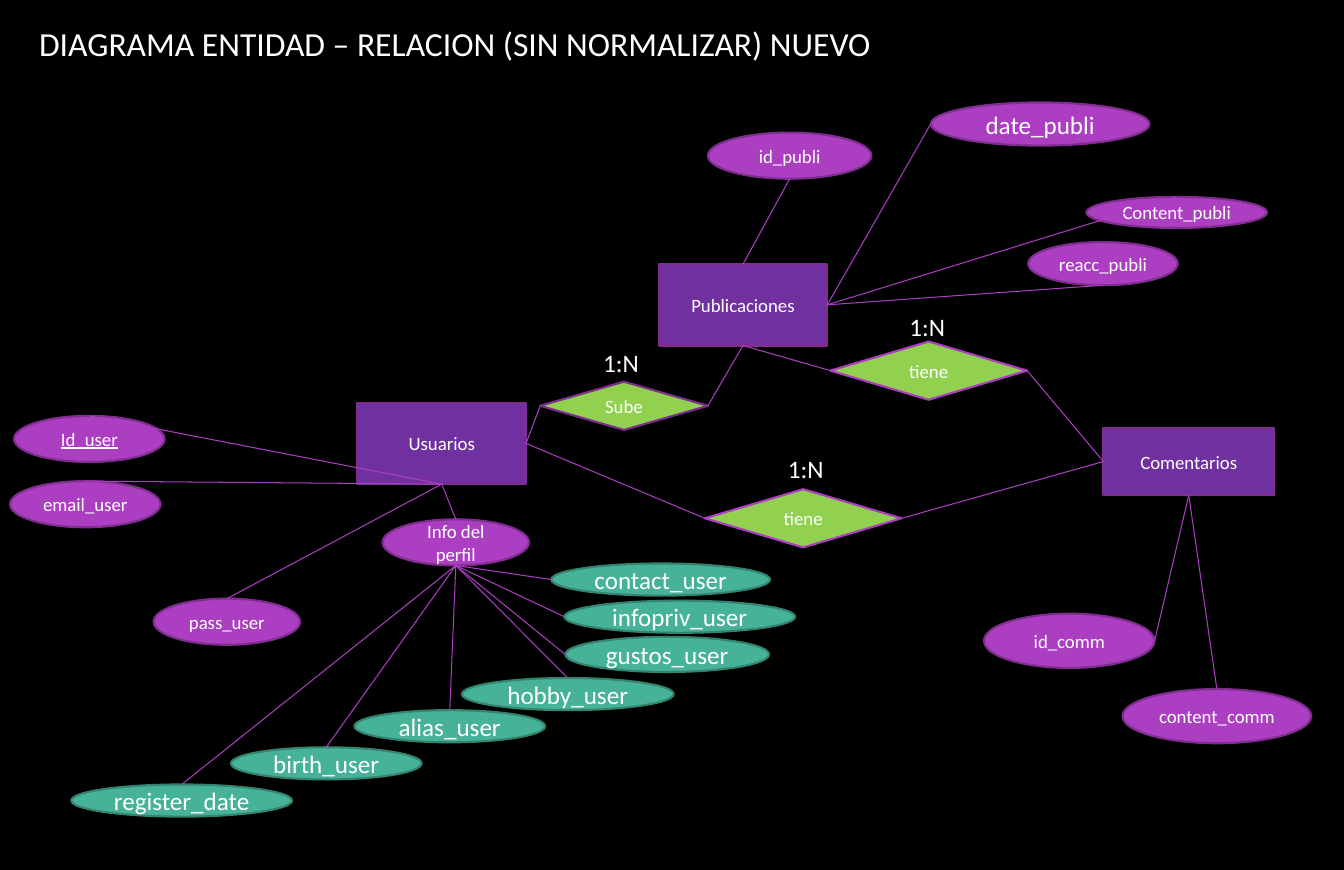
"""Entity-relationship diagram of users, posts and comments."""
from dataclasses import dataclass

from lxml import etree
from pptx import Presentation
from pptx import util as u
from pptx.dml.color import RGBColor
from pptx.enum import shapes, text
from pptx.oxml.ns import qn


@dataclass(frozen=True)
class Theme:
    font: str = "Calibri"
    background: str = "000000"
    ink: str = "FFFFFF"
    entity: str = "7030A0"
    relation: str = "92D050"
    attribute: str = "AC3EC1"
    border: str = "7F2E8F"
    detail: str = "46B298"
    detail_border: str = "348470"
    small: float = 13.5
    large: float = 18
    title: float = 24.1


theme = Theme()
RECT = shapes.MSO_SHAPE.RECTANGLE
DIAMOND = shapes.MSO_SHAPE.DIAMOND
OVAL = shapes.MSO_SHAPE.OVAL
TOP, LEFT, BOTTOM, RIGHT = range(4)
CM_PER_INCH = 2.54


def write(box, wording, size, align):
    """Set the text of a box and format its run."""
    box.text_frame.text = wording
    para = box.text_frame.paragraphs[0]
    para.alignment = align
    span = para.runs[0]
    span.font.name = theme.font
    span.font.size = u.Pt(size)
    span.font.color.rgb = RGBColor.from_string(theme.ink)
    return span


def side_point(box, side):
    """Return the middle of one side of a box."""
    across, down = {TOP: (0.5, 0), LEFT: (0, 0.5), BOTTOM: (0.5, 1), RIGHT: (1, 0.5)}[side]
    return int(box.left + box.width * across), int(box.top + box.height * down)


deck = Presentation()
deck.slide_width = u.Inches(34 / CM_PER_INCH)
deck.slide_height = u.Inches(22 / CM_PER_INCH)
page = deck.slides.add_slide(deck.slide_layouts[6])
page.background.fill.solid()
page.background.fill.fore_color.rgb = RGBColor.from_string(theme.background)

styles = {
    "entity": (RECT, theme.entity, theme.border, theme.small),
    "upload": (DIAMOND, theme.relation, theme.border, theme.small),
    "has": (DIAMOND, theme.relation, theme.attribute, theme.small),
    "attribute": (OVAL, theme.attribute, theme.border, theme.small),
    "wide attribute": (OVAL, theme.attribute, theme.border, theme.large),
    "detail": (OVAL, theme.detail, theme.detail_border, theme.large),
}
nodes = [
    ("users", "Usuarios", "entity", 3.56, 4.01, 1.68, 0.81),
    ("posts", "Publicaciones", "entity", 6.56, 2.63, 1.68, 0.81),
    ("comments", "Comentarios", "entity", 10.99, 4.26, 1.7, 0.67),
    ("uploads", "Sube", "upload", 5.38, 3.8, 1.67, 0.48),
    ("post has", "tiene", "has", 8.27, 3.4, 1.96, 0.58),
    ("user has", "tiene", "has", 7.02, 4.87, 1.96, 0.58),
    ("post id", "id_publi", "attribute", 7.05, 1.32, 1.63, 0.46),
    ("reaction", "reacc_publi", "attribute", 10.24, 2.41, 1.49, 0.43),
    ("post content", "Content_publi", "attribute", 10.82, 1.96, 1.8, 0.31),
    ("post date", "date_publi", "wide attribute", 9.27, 1.02, 2.18, 0.43),
    ("user id", "Id_user", "attribute", 0.14, 4.14, 1.5, 0.46),
    ("email", "email_user", "attribute", 0.1, 4.79, 1.5, 0.46),
    ("password", "pass_user", "attribute", 1.53, 5.96, 1.46, 0.46),
    ("profile", "Info del perfil", "attribute", 3.81, 5.17, 1.46, 0.46),
    ("comment id", "id_comm", "attribute", 9.8, 6.11, 1.7, 0.54),
    ("comment content", "content_comm", "attribute", 11.18, 6.86, 1.88, 0.54),
    ("contact", "contact_user", "detail", 5.49, 5.61, 2.18, 0.32),
    ("private info", "infopriv_user", "detail", 5.62, 5.98, 2.3, 0.32),
    ("tastes", "gustos_user", "detail", 5.63, 6.34, 2.03, 0.35),
    ("hobby", "hobby_user", "detail", 4.6, 6.75, 2.11, 0.32),
    ("alias", "alias_user", "detail", 3.53, 7.07, 1.9, 0.32),
    ("birth", "birth_user", "detail", 2.3, 7.44, 1.9, 0.32),
    ("register", "register_date", "detail", 0.71, 7.81, 2.2, 0.32),
]
boxes = {}
for name, wording, style, *place in nodes:
    outline, fill, border, size = styles[style]
    box = page.shapes.add_shape(outline, *map(u.Inches, place))
    box.shadow.inherit = False
    box.fill.solid()
    box.fill.fore_color.rgb = RGBColor.from_string(fill)
    box.line.color.rgb = RGBColor.from_string(border)
    box.line.width = u.Pt(1.5)
    frame = box.text_frame
    frame.word_wrap = True
    frame.vertical_anchor = text.MSO_ANCHOR.MIDDLE
    if size == theme.small:
        frame.margin_left = frame.margin_right = u.Inches(0.07)
        frame.margin_top = frame.margin_bottom = u.Inches(0.04)
    span = write(box, wording, size, text.PP_ALIGN.CENTER)
    if name == "user id":
        span.font.underline = True
    boxes[name] = box

links = [
    ("users", RIGHT, "uploads", LEFT),
    ("uploads", RIGHT, "posts", BOTTOM),
    ("post id", BOTTOM, "posts", TOP),
    ("post has", LEFT, "posts", BOTTOM),
    ("post has", RIGHT, "comments", LEFT),
    ("user has", LEFT, "users", RIGHT),
    ("user has", RIGHT, "comments", LEFT),
    ("reaction", BOTTOM, "posts", RIGHT),
    ("post content", TOP, "posts", RIGHT),
    ("post date", LEFT, "posts", RIGHT),
    ("email", TOP, "users", BOTTOM),
    ("user id", TOP, "users", BOTTOM),
    ("profile", TOP, "users", BOTTOM),
    ("password", TOP, "users", BOTTOM),
    ("comment id", RIGHT, "comments", BOTTOM),
    ("comment content", TOP, "comments", BOTTOM),
    ("contact", LEFT, "profile", BOTTOM),
    ("private info", LEFT, "profile", BOTTOM),
    ("tastes", LEFT, "profile", BOTTOM),
    ("hobby", TOP, "profile", BOTTOM),
    ("alias", TOP, "profile", BOTTOM),
    ("birth", TOP, "profile", BOTTOM),
    ("register", TOP, "profile", BOTTOM),
]
for start, start_side, end, end_side in links:
    source, target = boxes[start], boxes[end]
    link = page.shapes.add_connector(
        shapes.MSO_CONNECTOR.STRAIGHT,
        *side_point(source, start_side), *side_point(target, end_side))
    if source.auto_shape_type != OVAL:
        link.begin_connect(source, start_side)
    if target.auto_shape_type != OVAL:
        link.end_connect(target, end_side)
    link.line.color.rgb = RGBColor.from_string(theme.attribute)
    link.line.width = u.Pt(0.75)
    etree.SubElement(link._element.spPr, qn("a:effectLst"))

for left, top in [(5.91, 3.41), (8.96, 3.05), (7.75, 4.46)]:
    ratio = page.shapes.add_textbox(*map(u.Inches, (left, top, 0.57, 0.41)))
    ratio.text_frame.word_wrap = False
    ratio.text_frame.auto_size = text.MSO_AUTO_SIZE.SHAPE_TO_FIT_TEXT
    write(ratio, "1:N", theme.large, text.PP_ALIGN.LEFT)

heading = page.shapes.add_textbox(*map(u.Inches, (0.29, 0.23, 12.81, 0.84)))
heading.text_frame.word_wrap = True
heading.text_frame.margin_top = 0
write(heading, "DIAGRAMA ENTIDAD – RELACION (SIN NORMALIZAR) NUEVO", theme.title, text.PP_ALIGN.LEFT)

deck.save("out.pptx")
